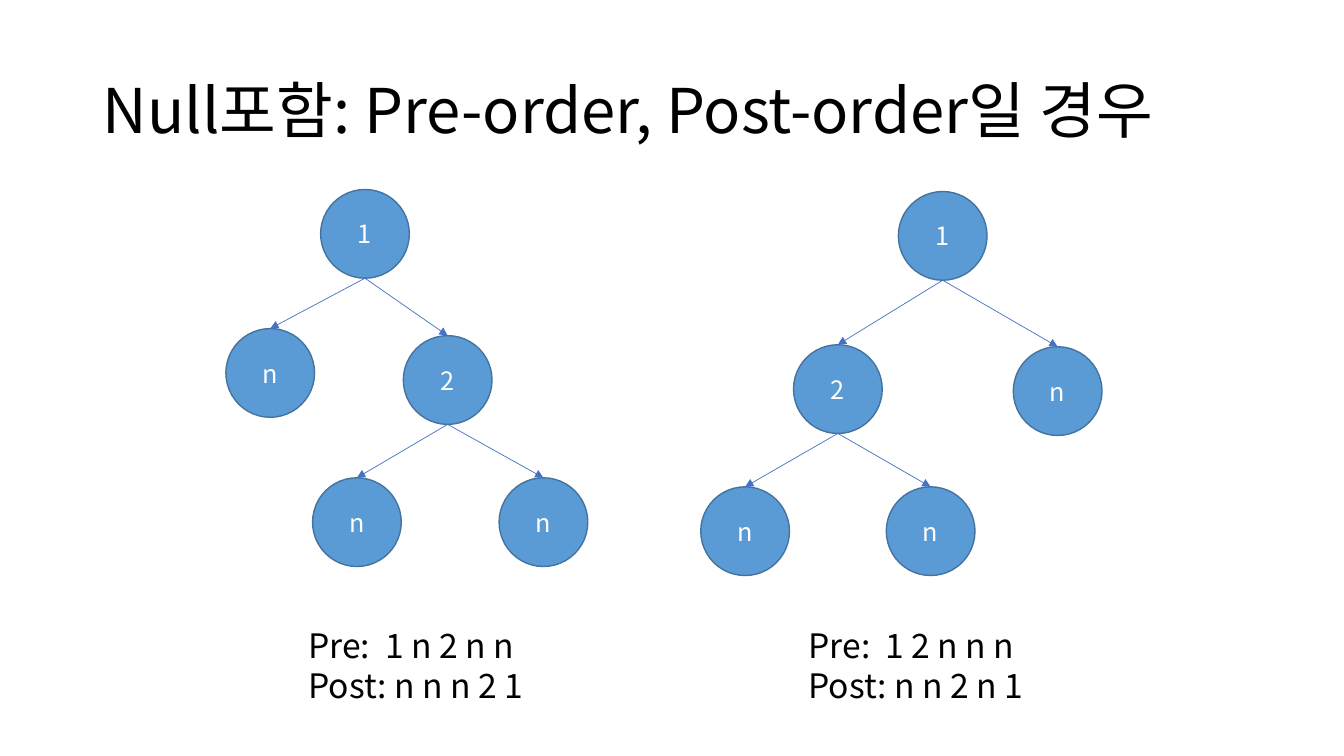
from lxml.etree import SubElement
from pptx import Presentation
from pptx.dml.color import RGBColor
from pptx.enum.shapes import MSO_CONNECTOR, MSO_SHAPE
from pptx.enum.text import MSO_ANCHOR, MSO_AUTO_SIZE, PP_ALIGN
from pptx.oxml.ns import qn
from pptx.util import Inches, Pt

FONT = "Noto Sans CJK KR"
BLACK = RGBColor(0x00, 0x00, 0x00)
WHITE = RGBColor(0xFF, 0xFF, 0xFF)
NODE_FILL = RGBColor(0x5B, 0x9B, 0xD5)
NODE_LINE = RGBColor(0x43, 0x73, 0x9E)
ARROW_LINE = RGBColor(0x44, 0x72, 0xC4)
DIAMETER = 0.88

# Each tree: box corner, nodes as (label, x, y, parent index), and the
# traversal box corner with its lines. Nodes are placed within the tree box.
TREES = [
    ((2.24, 1.88),
     [("1", 0.94, 0, None), ("n", 0, 1.38, 0), ("2", 1.76, 1.45, 0),
      ("n", 0.86, 2.86, 2), ("n", 2.71, 2.86, 2)],
     (2.96, 6.15), ["Pre:  1 n 2 n n", "Post: n n n 2 1"]),
    ((6.95, 1.9),
     [("1", 1.96, 0, None), ("2", 0.92, 1.52, 0), ("n", 3.1, 1.54, 0),
      ("n", 0, 2.93, 1), ("n", 1.84, 2.93, 1)],
     (7.92, 6.15), ["Pre:  1 2 n n n", "Post: n n 2 n 1"]),
]


def style_paragraph(paragraph, size, color):
    font = paragraph.font
    font.name, font.size = FONT, Pt(size)
    font.color.rgb = color


def add_title(slide, text, left, top, width, height):
    title = slide.shapes.title
    title.left, title.top = Inches(left), Inches(top)
    title.width, title.height = Inches(width), Inches(height)
    frame = title.text_frame
    frame.text = text
    frame.vertical_anchor = MSO_ANCHOR.MIDDLE
    frame.word_wrap = True
    paragraph = frame.paragraphs[0]
    paragraph.alignment = PP_ALIGN.LEFT
    paragraph.line_spacing = 0.9
    style_paragraph(paragraph, 44, BLACK)
    # Hangul takes the East Asian font of the run
    run_font = paragraph.runs[0].font
    run_font.name = FONT
    SubElement(run_font._element, qn("a:ea"), typeface=FONT)


def add_node(slide, label, left, top):
    node = slide.shapes.add_shape(MSO_SHAPE.OVAL, Inches(left), Inches(top),
                                  Inches(DIAMETER), Inches(DIAMETER))
    node.shadow.inherit = False
    node.fill.solid()
    node.fill.fore_color.rgb = NODE_FILL
    node.line.color.rgb = NODE_LINE
    node.line.width = Pt(1)
    frame = node.text_frame
    frame.text = label
    frame.vertical_anchor = MSO_ANCHOR.MIDDLE
    paragraph = frame.paragraphs[0]
    paragraph.alignment = PP_ALIGN.CENTER
    style_paragraph(paragraph, 18, WHITE)
    return node


def add_arrow(slide, parent, child):
    # From the bottom of the parent to the top of the child
    arrow = slide.shapes.add_connector(
        MSO_CONNECTOR.STRAIGHT,
        parent.left + parent.width // 2, parent.top + parent.height,
        child.left + child.width // 2, child.top)
    arrow.line.color.rgb = ARROW_LINE
    arrow.line.width = Pt(0.5)
    properties = arrow._element.spPr
    SubElement(properties.get_or_add_ln(), qn("a:tailEnd"), type="triangle")
    SubElement(properties, qn("a:effectLst"))


def add_tree(slide, left, top, nodes):
    ovals = []
    for label, x, y, parent in nodes:
        ovals.append(add_node(slide, label, left + x, top + y))
        if parent is not None:
            add_arrow(slide, ovals[parent], ovals[-1])


def add_traversals(slide, left, top, lines):
    box = slide.shapes.add_textbox(Inches(left), Inches(top),
                                   Inches(2.47), Inches(0.91))
    frame = box.text_frame
    frame.word_wrap = False
    frame.auto_size = MSO_AUTO_SIZE.SHAPE_TO_FIT_TEXT
    frame.text = "\n".join(lines)
    for paragraph in frame.paragraphs:
        style_paragraph(paragraph, 24, BLACK)


presentation = Presentation()
presentation.slide_width, presentation.slide_height = Inches(13.33), Inches(7.5)
slide = presentation.slides.add_slide(presentation.slide_layouts[5])

add_title(slide, "Null포함: Pre-order, Post-order일 경우", 0.92, 0.4, 11.5, 1.45)
for tree_corner, nodes, text_corner, lines in TREES:
    add_tree(slide, *tree_corner, nodes)
    add_traversals(slide, *text_corner, lines)

presentation.save("out.pptx")
